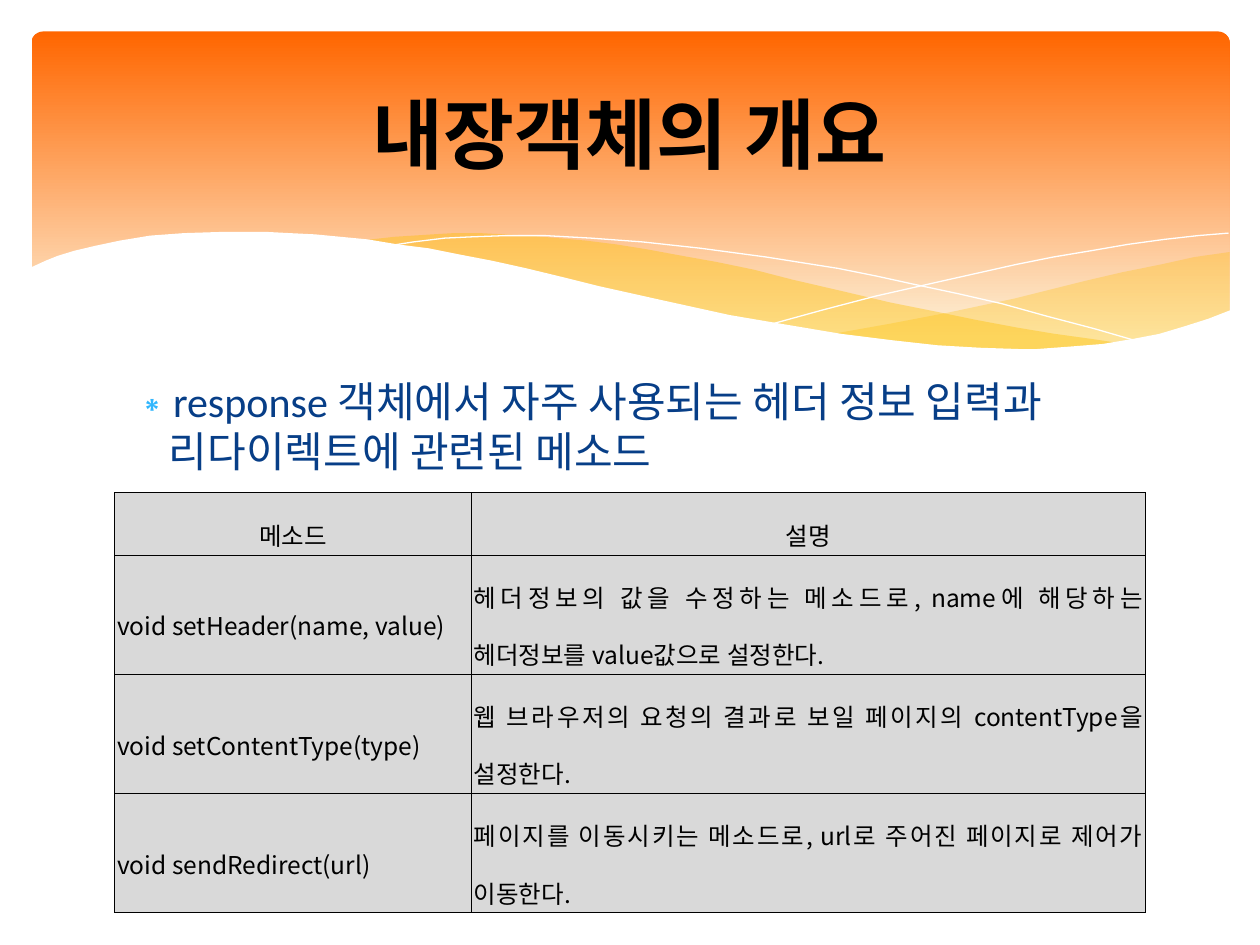
from lxml.etree import SubElement
from pptx import Presentation
from pptx.dml.color import RGBColor
from pptx.enum.shapes import MSO_SHAPE
from pptx.enum.text import MSO_ANCHOR, MSO_AUTO_SIZE, PP_ALIGN
from pptx.oxml.ns import qn
from pptx.util import Inches, Pt

COLORS = {
    "orange": "FF6600", "cream": "FDF2D9", "gold": "FFC000", "white": "FFFFFF",
    "black": "000000", "navy": "073E87", "sky": "31B6FD", "grey": "D9D9D9",
}
TITLE_FORMAT = {"size": Pt(44), "name": "Calibri", "bold": True}
BODY_FORMAT = {"size": Pt(24), "name": "Calibri", "bold": False}
CELL_FORMAT = {"size": Pt(14), "name": "Noto Sans CJK KR", "bold": False}

# Wave outlines, in inches on the page
RIGHT_WAVE = [
    (9.76, 2), (9.48, 2.04), (9.21, 2.1), (8.91, 2.16), (8.61, 2.23), (8.05, 2.37),
    (7.53, 2.48), (7.06, 2.57), (6.61, 2.65), (6.91, 2.69), (7.19, 2.72), (7.45, 2.75),
    (7.69, 2.77), (8.03, 2.78), (8.35, 2.77), (8.63, 2.75), (8.89, 2.72), (9.13, 2.67),
    (9.35, 2.62), (9.49, 2.57), (9.63, 2.52), (9.76, 2.47),
]
MIDDLE_WAVE = [
    (8.93, 2.73), (8.66, 2.69), (8.37, 2.65), (8.07, 2.6), (7.75, 2.54), (7.41, 2.47),
    (7.06, 2.4), (6.68, 2.31), (6.29, 2.22), (5.98, 2.14), (5.69, 2.08), (5.41, 2.03),
    (5.14, 1.98), (4.89, 1.94), (4.65, 1.91), (4.42, 1.89), (4.2, 1.87), (3.99, 1.86),
    (3.8, 1.85), (3.61, 1.85), (3.44, 1.86), (3.13, 1.88), (2.86, 1.91), (3.23, 1.96),
    (3.62, 2.03), (4.04, 2.11), (4.49, 2.22), (4.91, 2.32), (5.3, 2.4), (5.66, 2.48),
    (6.01, 2.55), (6.34, 2.61), (6.65, 2.66), (6.95, 2.7), (7.22, 2.74), (7.48, 2.76),
    (7.73, 2.77), (7.96, 2.78), (8.28, 2.78), (8.57, 2.77), (8.76, 2.75),
]
FALLING_LINE = [
    (3.09, 1.95), (3.28, 1.92), (3.53, 1.89), (3.74, 1.88), (4.01, 1.87), (4.33, 1.87),
    (4.69, 1.89), (5.1, 1.92), (5.56, 1.97), (6.08, 2.04), (6.65, 2.13), (6.95, 2.19),
    (7.27, 2.26), (7.6, 2.33), (7.95, 2.41), (8.31, 2.51), (8.69, 2.61), (9.07, 2.72),
]
RISING_LINE = [
    (6.13, 2.57), (6.53, 2.46), (6.95, 2.35), (7.48, 2.23), (8.06, 2.1), (8.36, 2.04),
    (8.66, 1.99), (8.95, 1.94), (9.24, 1.9), (9.51, 1.87), (9.75, 1.85),
]
WHITE_WAVE = [
    (9.77, 2.46), (9.59, 2.53), (9.4, 2.59), (9.2, 2.65), (8.99, 2.69), (8.75, 2.73),
    (8.5, 2.75), (8.23, 2.77), (8.09, 2.77), (7.78, 2.76), (7.44, 2.74), (7.08, 2.7),
    (6.68, 2.65), (6.26, 2.58), (5.79, 2.5), (5.29, 2.39), (4.75, 2.27), (4.47, 2.2),
    (4.18, 2.13), (3.91, 2.07), (3.65, 2.02), (3.4, 1.97), (3.16, 1.94), (2.92, 1.9),
    (2.71, 1.88), (2.5, 1.86), (2.3, 1.85), (2.11, 1.84), (1.77, 1.84), (1.46, 1.85),
    (1.19, 1.87), (0.95, 1.91), (0.76, 1.95), (0.59, 1.99), (0.46, 2.03), (0.36, 2.07),
    (0.23, 2.13), (0.23, 3.29), (9.77, 3.29),
]
ROWS = [
    ("메소드", "설명"),
    ("void setHeader(name, value)",
     "헤더정보의 값을 수정하는 메소드로, name에 해당하는 헤더정보를 value값으로 설정한다."),
    ("void setContentType(type)",
     "웹 브라우저의 요청의 결과로 보일 페이지의 contentType을 설정한다."),
    ("void sendRedirect(url)",
     "페이지를 이동시키는 메소드로, url로 주어진 페이지로 제어가 이동한다."),
]


def rgb(name):
    return RGBColor.from_string(COLORS[name])


def place(shape, box):
    for side, length in zip(("left", "top", "width", "height"), box):
        setattr(shape, side, Inches(length))


def write(para, text, font_format, color):
    span = para.add_run()
    span.text = text
    for key, value in font_format.items():
        setattr(span.font, key, value)
    span.font.color.rgb = rgb(color)
    SubElement(span.font._element, qn("a:ea"), typeface=font_format["name"])


def add_wave(page, points, color, alpha=None, filled=True):
    corners = [(Inches(x), Inches(y)) for x, y in points]
    builder = page.shapes.build_freeform(*corners[0], scale=1.0)
    builder.add_line_segments(corners[1:], close=filled)
    wave = builder.convert_to_shape()
    wave.shadow.inherit = False
    if filled:
        wave.fill.solid()
        wave.fill.fore_color.rgb = rgb(color)
        wave.line.fill.background()
    else:
        wave.fill.background()
        wave.line.color.rgb = rgb(color)
        wave.line.width = Pt(0)
    if alpha:
        swatch = wave.element.spPr.find(qn("a:solidFill"))[0]
        SubElement(swatch, qn("a:alpha"), val=str(alpha * 1000))


def draw_banner(page, box):
    band = page.shapes.add_shape(MSO_SHAPE.ROUNDED_RECTANGLE, *map(Inches, box))
    band.adjustments[0] = 0.034
    band.shadow.inherit = False
    band.line.fill.background()
    band.fill.gradient()
    band.fill.gradient_angle = 270
    for stop, color, position in zip(band.fill.gradient_stops, ("orange", "cream"), (0, 0.9)):
        stop.color.rgb = rgb(color)
        stop.position = position
    add_wave(page, RIGHT_WAVE, "gold", alpha=29)
    add_wave(page, MIDDLE_WAVE, "gold", alpha=40)
    add_wave(page, FALLING_LINE, "white", filled=False)
    add_wave(page, RISING_LINE, "white", filled=False)
    add_wave(page, WHITE_WAVE, "white")


def fill_title(page, box):
    title = page.shapes.title
    place(title, box)
    page.shapes.element.append(title.element)  # bring in front of the banner
    title.text_frame.auto_size = MSO_AUTO_SIZE.NONE
    title.text_frame.vertical_anchor = MSO_ANCHOR.MIDDLE
    para = title.text_frame.paragraphs[0]
    para.alignment = PP_ALIGN.CENTER
    write(para, "내장객체의 개요", TITLE_FORMAT, "black")


def fill_body(page, box):
    body = page.placeholders[1]
    place(body, box)
    page.shapes.element.append(body.element)
    body.text_frame.auto_size = MSO_AUTO_SIZE.NONE
    para = body.text_frame.paragraphs[0]
    para.space_before = Pt(0)
    properties = para._p.get_or_add_pPr()
    properties.set("marL", str(Inches(0.3)))
    properties.set("indent", str(Inches(-0.3)))
    bullet_color = SubElement(properties, qn("a:buClr"))
    SubElement(bullet_color, qn("a:srgbClr"), val=COLORS["sky"])
    SubElement(properties, qn("a:buChar"), char="∗")
    write(para, "response 객체에서 자주 사용되는 헤더 정보 입력과 리다이렉트에 관련된 메소드",
          BODY_FORMAT, "navy")


def add_borders(cell):
    properties = cell._tc.get_or_add_tcPr()
    for index, side in enumerate(("lnL", "lnR", "lnT", "lnB")):
        border = SubElement(properties, qn(f"a:{side}"), w=str(Pt(0.28)))
        fill = SubElement(border, qn("a:solidFill"))
        SubElement(fill, qn("a:srgbClr"), val=COLORS["black"])
        properties.insert(index, border)


def draw_methods(page, box):
    table = page.shapes.add_table(len(ROWS), 2, *map(Inches, box)).table
    table.first_row = table.horz_banding = False
    for column, width in zip(table.columns, (2.83, 5.35)):
        column.width = Inches(width)
    for index, texts in enumerate(ROWS):
        table.rows[index].height = Inches(0.78 if index else 0.42)
        for cell, text in zip(table.rows[index].cells, texts):
            cell.fill.solid()
            cell.fill.fore_color.rgb = rgb("grey")
            cell.vertical_anchor = MSO_ANCHOR.MIDDLE
            for side in ("left", "right", "top", "bottom"):
                setattr(cell, f"margin_{side}", Inches(0.02))
            add_borders(cell)
            para = cell.text_frame.paragraphs[0]
            para.alignment = PP_ALIGN.JUSTIFY if index else PP_ALIGN.CENTER
            para.line_spacing = 1.6
            write(para, text, CELL_FORMAT, "black")


def main():
    deck = Presentation()
    deck.slide_width, deck.slide_height = Inches(10), Inches(7.5)
    page = deck.slides.add_slide(deck.slide_layouts[1])
    draw_banner(page, (0.25, 0.25, 9.51, 2.7))
    fill_body(page, (0.94, 2.93, 8.1, 3.77))
    fill_title(page, (0.5, 0.37, 9, 1.37))
    draw_methods(page, (0.91, 3.91, 8.19, 2.77))
    deck.save("out.pptx")


if __name__ == "__main__":
    main()
